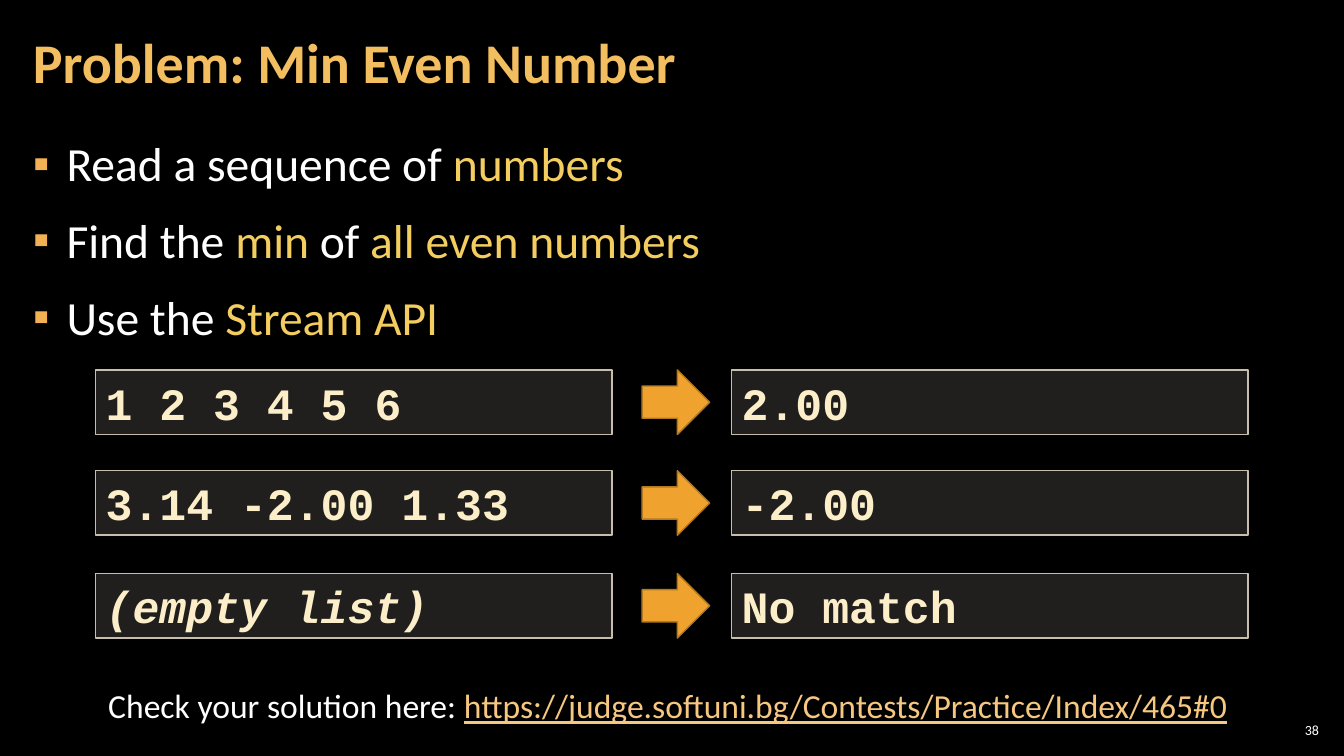
from lxml.etree import SubElement
from pptx import Presentation
from pptx.dml.color import RGBColor
from pptx.enum.shapes import MSO_SHAPE as Preset
from pptx.enum.text import MSO_ANCHOR as Anchor, MSO_AUTO_SIZE as AutoSize, PP_ALIGN as Align
from pptx.oxml.ns import qn
from pptx.util import Pt

WHITE, YELLOW = "FFFFFF", "F3CD60"
TASKS = [
    [("Read a sequence of ", WHITE), ("numbers", YELLOW)],
    [("Find the ", WHITE), ("min ", YELLOW), ("of ", WHITE), ("all even numbers", YELLOW)],
    [("Use the ", WHITE), ("Stream API", YELLOW)],
]
EXAMPLES = [
    (264.24, "1 2 3 4 5 6", "2.00", False),
    (336.24, "3.14 -2.00 1.33", "-2.00", False),
    (409.68, "(empty list)", "No match", True),
]
ROW_HEIGHT = 46.08


def paint(color_format, color):
    color_format.rgb = RGBColor.from_string(color)


def place(shape, left, top, width, height):
    shape.left, shape.top, shape.width, shape.height = map(Pt, (left, top, width, height))


def set_frame(frame, anchor, side=7.2, edge=3.6):
    frame.word_wrap = True
    frame.auto_size = AutoSize.NONE
    frame.vertical_anchor = anchor
    frame.margin_left = frame.margin_right = Pt(side)
    frame.margin_top = frame.margin_bottom = Pt(edge)


def style(paragraph, size, color=None, name="Calibri", bold=False, align=Align.LEFT):
    paragraph.alignment = align
    font = paragraph.font
    font.name, font.size, font.bold = name, Pt(size), bold
    if color:
        paint(font.color, color)


def add_runs(paragraph, pieces):
    for words, color in pieces:
        run = paragraph.add_run()
        run.text = words
        paint(run.font.color, color)


def add_bullet(paragraph):
    properties = paragraph._p.get_or_add_pPr()
    properties.set("marL", str(Pt(24)))
    properties.set("indent", str(-Pt(24)))
    bullet_color = SubElement(properties, qn("a:buClr"))
    SubElement(bullet_color, qn("a:srgbClr"), val="F2B254")
    SubElement(properties, qn("a:buChar"), char="▪")


def fill_title(title):
    place(title, 15, 3, 754, 87)
    set_frame(title.text_frame, Anchor.MIDDLE, 8.5, 2.8)
    heading = title.text_frame.paragraphs[0]
    heading.text = "Problem: Min Even Number"
    heading.line_spacing = 0.9
    style(heading, 40, "F3BE60", bold=True)


def fill_tasks(body):
    place(body, 15, 91, 930, 438)
    frame = body.text_frame
    set_frame(frame, Anchor.TOP, 8.5, 2.8)
    for index, pieces in enumerate(TASKS):
        task = frame.paragraphs[0] if index == 0 else frame.add_paragraph()
        add_bullet(task)
        task.line_spacing = 1.05
        task.space_before = Pt(6 if index else 0)
        task.space_after = Pt(6)
        style(task, 34)
        add_runs(task, pieces)


def add_outlined(group, preset, left, top, width, fill, line):
    shape = group.shapes.add_shape(preset, Pt(left), Pt(top), Pt(width), Pt(ROW_HEIGHT))
    shape.shadow.inherit = False
    shape.fill.solid()
    paint(shape.fill.fore_color, fill)
    paint(shape.line.color, line)
    shape.line.width = Pt(1)
    return shape


def add_code_box(group, left, top, code, italic=False):
    box = add_outlined(group, Preset.RECTANGLE, left, top, 368.64, "D9D5C7", "C7BFAC")
    fill_color = box._element.spPr.find(qn("a:solidFill"))[0]
    SubElement(fill_color, qn("a:alpha"), val="15000")
    set_frame(box.text_frame, Anchor.MIDDLE)
    line = box.text_frame.paragraphs[0]
    line.text = code
    style(line, 32, "FBEEC9", "Courier New", bold=True)
    line.font.italic = italic


def add_example(slide, top, numbers, result, italic):
    row = slide.shapes.add_group_shape()
    add_code_box(row, 68.4, top, numbers, italic)
    add_code_box(row, 522.72, top, result)
    add_outlined(row, Preset.RIGHT_ARROW, 458.64, top, 48.24, "F0A22E", "B27822")


def add_label(slide, left, top, width, height, anchor, edge=3.6):
    label = slide.shapes.add_textbox(Pt(left), Pt(top), Pt(width), Pt(height))
    set_frame(label.text_frame, anchor, edge * 2 if edge > 3 else edge, edge)
    return label.text_frame.paragraphs[0]


def main():
    deck = Presentation()
    deck.slide_width, deck.slide_height = Pt(960), Pt(540)
    slide = deck.slides.add_slide(deck.slide_layouts[1])
    slide.background.fill.solid()
    paint(slide.background.fill.fore_color, "000000")

    fill_title(slide.shapes.title)
    fill_tasks(slide.placeholders[1])

    page_number = add_label(slide, 911, 514, 34, 15, Anchor.MIDDLE, 2.8)
    page_number.text = "38"
    style(page_number, 10, WHITE, align=Align.RIGHT)

    check = add_label(slide, 60, 486, 834, 36, Anchor.TOP)
    style(check, 24, align=Align.CENTER)
    add_runs(check, [
        ("Check your solution here: ", WHITE),
        ("https://judge.softuni.bg/Contests/Practice/Index/465#0", "F6C781"),
    ])
    check.runs[1].font.underline = True

    for example in EXAMPLES:
        add_example(slide, *example)
    deck.save("out.pptx")


if __name__ == "__main__":
    main()
